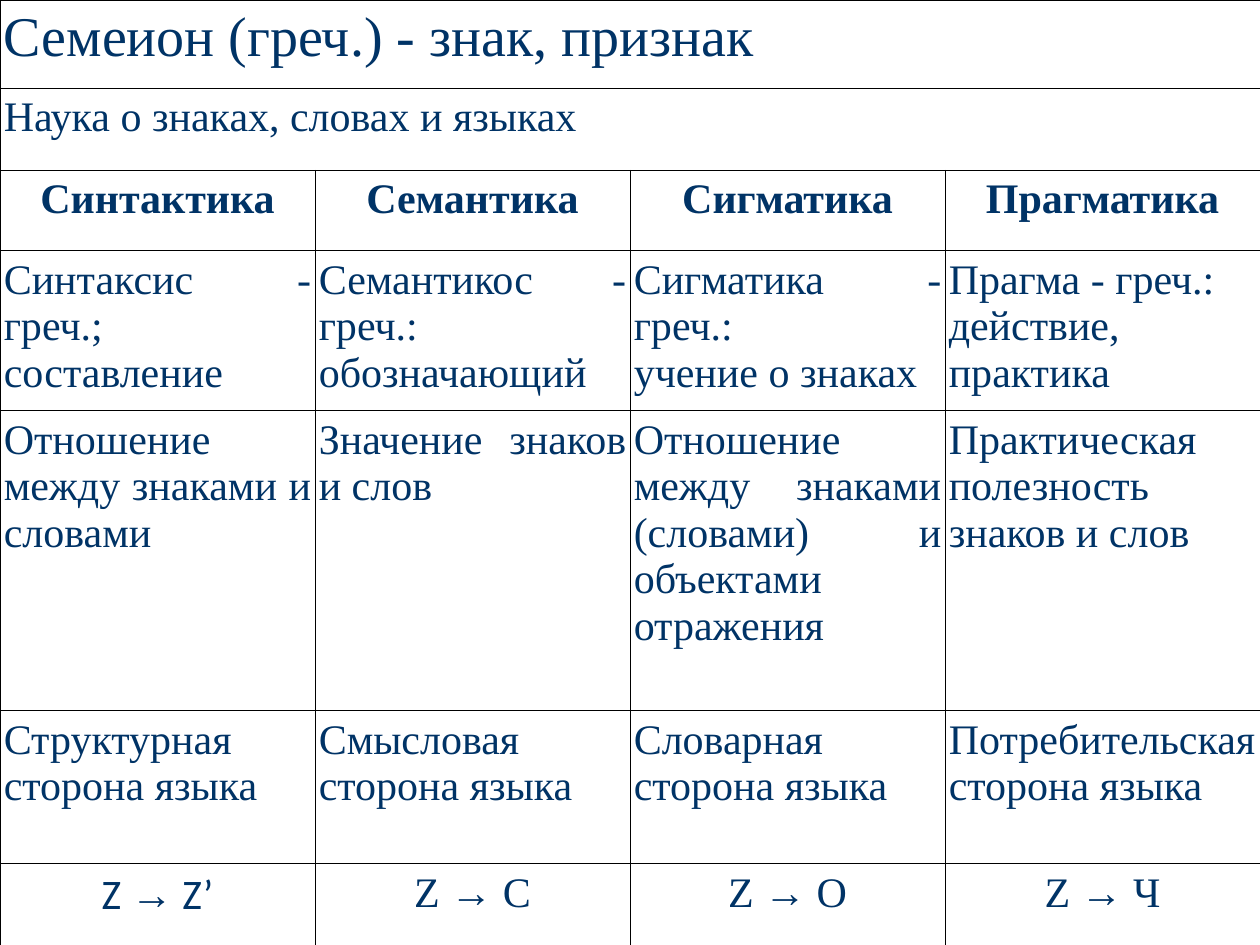
from pptx import Presentation
from pptx.dml.color import RGBColor
from pptx.enum.text import PP_ALIGN as Align
from pptx.oxml import parse_xml
from pptx.oxml.ns import nsdecls
from pptx.util import Inches, Pt

SERIF, SANS, ARROW_FONT = "Times New Roman", "Calibri", "Arial"
TEXT_COLOR, LINE_COLOR = "003366", "000000"
LINE_WIDTH = Pt(0.45)
ARROW = "→"
COLUMNS = 4
ROW_HEIGHTS = [0.7, 0.65, 0.64, 1.27, 2.38, 1.21, 0.65]
MARGINS = {"margin_left": 0.03, "margin_right": 0.03,
           "margin_top": 0.05, "margin_bottom": 0.05}

TITLE = "Семеион (греч.) - знак, признак"
SUBTITLE = "Наука о знаках, словах и языках"
HEADINGS = ["Синтактика", "Семантика", "Сигматика", "Прагматика"]
DESCRIPTIONS = [
    ["Синтаксис - греч.; составление", "Семантикос - греч.:\nобозначающий",
     "Сигматика - греч.:\nучение о знаках", "Прагма - греч.:\nдействие, практика"],
    ["Отношение между знаками и словами", "Значение знаков и слов",
     "Отношение между знаками (словами) и объектами отражения",
     "Практическая полезность знаков и слов"],
    ["Структурная сторона языка", "Смысловая сторона языка",
     "Словарная сторона языка", "Потребительская сторона языка"],
]
RELATIONS = ["Z → Z’", "Z → C", "Z → O", "Z → Ч"]


def color(hex_string):
    return RGBColor.from_string(hex_string)


def add_run(paragraph, text, font_name, size, bold):
    run = paragraph.add_run()
    run.text = text
    values = {"name": font_name, "size": Pt(size), "bold": bold}
    for name, value in values.items():
        setattr(run.font, name, value)
    run.font.color.rgb = color(TEXT_COLOR)


def write_cell(cell, text, align=Align.JUSTIFY, size=24, bold=False, font_name=SERIF):
    """Write one paragraph per line, with arrows in their own font."""
    frame = cell.text_frame
    for index, line in enumerate(text.split("\n")):
        paragraph = frame.add_paragraph() if index else frame.paragraphs[0]
        paragraph.alignment = align
        for part in line.partition(ARROW):
            if part:
                part_font = ARROW_FONT if part == ARROW else font_name
                add_run(paragraph, part, part_font, size, bold)


def format_cell(cell):
    """Set margins, a clear fill and a thin line on every side."""
    for name, value in MARGINS.items():
        setattr(cell, name, Inches(value))
    cell.fill.background()
    properties = cell._tc.get_or_add_tcPr()
    for index, side in enumerate(("lnL", "lnR", "lnT", "lnB")):
        properties.insert(index, parse_xml(
            f'<a:{side} {nsdecls("a")} w="{LINE_WIDTH}"><a:solidFill>'
            f'<a:srgbClr val="{LINE_COLOR}"/></a:solidFill></a:{side}>'))


def add_grid(presentation, slide):
    frame = slide.shapes.add_table(len(ROW_HEIGHTS), COLUMNS, 0, 0,
                                   presentation.slide_width, presentation.slide_height)
    table = frame.table
    table.first_row = table.horz_banding = False
    for row, height in zip(table.rows, ROW_HEIGHTS):
        row.height = Inches(height)
    for cell in table.iter_cells():
        format_cell(cell)
    return table


def write_wide_row(table, row, text, **format_values):
    cell = table.cell(row, 0)
    cell.merge(table.cell(row, COLUMNS - 1))
    write_cell(cell, text, **format_values)


def write_row(table, row, texts, **format_values):
    for column, text in enumerate(texts):
        write_cell(table.cell(row, column), text, **format_values)


def main():
    presentation = Presentation()
    presentation.slide_width, presentation.slide_height = Inches(10), Inches(7.5)
    slide = presentation.slides.add_slide(presentation.slide_layouts[6])
    table = add_grid(presentation, slide)

    write_wide_row(table, 0, TITLE, align=Align.LEFT, size=32)
    write_wide_row(table, 1, SUBTITLE)
    write_row(table, 2, HEADINGS, align=Align.CENTER, bold=True)
    for row, texts in enumerate(DESCRIPTIONS, start=3):
        write_row(table, row, texts)
    last_row = len(ROW_HEIGHTS) - 1
    for column, text in enumerate(RELATIONS):
        write_cell(table.cell(last_row, column), text, align=Align.CENTER,
                   font_name=SERIF if column else SANS)

    presentation.save("out.pptx")


if __name__ == "__main__":
    main()
